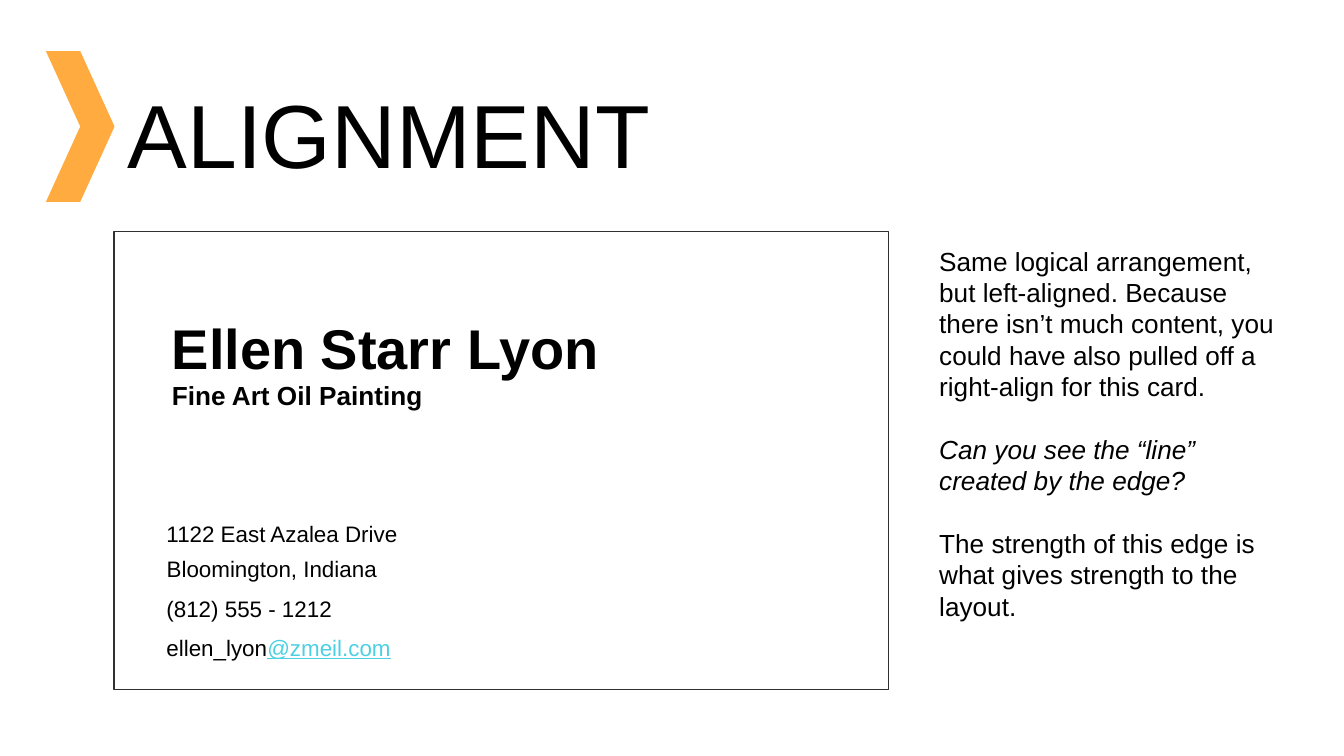
"""Build the alignment slide with its left-aligned business card."""
from pptx import Presentation
from pptx.dml.color import RGBColor
from pptx.enum.shapes import MSO_SHAPE
from pptx.enum.text import MSO_ANCHOR, MSO_AUTO_SIZE, PP_ALIGN
from pptx.oxml.ns import qn
from pptx.util import Pt

RECT, CHEVRON = MSO_SHAPE.RECTANGLE, MSO_SHAPE.CHEVRON
TOP, MIDDLE = MSO_ANCHOR.TOP, MSO_ANCHOR.MIDDLE
LEFT, FIXED = PP_ALIGN.LEFT, MSO_AUTO_SIZE.NONE

THEME = {
    "font": "Arial",
    "ink": RGBColor(0x00, 0x00, 0x00),
    "edge": RGBColor(0x30, 0x30, 0x30),
    "accent": RGBColor(0xFF, 0xAB, 0x40),
    "link": RGBColor(0x4D, 0xD0, 0xE1),
    "title": Pt(48),
    "name": Pt(30),
    "note": Pt(14),
    "small": Pt(12),
}


def place(shape, box):
    for side, value in zip(("left", "top", "width", "height"), box):
        setattr(shape, side, Pt(value))


def write(shape, box, paras, size, anchor=MIDDLE, gap=0, **form):
    place(shape, box)
    frame = shape.text_frame
    look = {"word_wrap": True, "auto_size": FIXED, "vertical_anchor": anchor}
    look.update({f"margin_{side}": Pt(7.2) for side in ("left", "top", "right", "bottom")})
    for key, value in look.items():
        setattr(frame, key, value)
    for i, runs in enumerate(paras):
        para = frame.paragraphs[0] if i == 0 else frame.add_paragraph()
        props = para._p.get_or_add_pPr()
        props.set("marL", "0")
        props.set("indent", "0")
        props.append(props.makeelement(qn("a:buNone"), {}))
        rules = {"alignment": LEFT, "space_before": Pt(gap if i else 0), "space_after": Pt(0), "line_spacing": 1.0}
        for key, value in {**rules, **form}.items():
            setattr(para, key, value)
        for text, extra in runs:
            run = para.add_run()
            run.text = text
            font = {"name": THEME["font"], "size": THEME[size], **extra}
            run.font.color.rgb = THEME[font.pop("color", "ink")]
            for key, value in font.items():
                setattr(run.font, key, value)


deck = Presentation()
deck.slide_width, deck.slide_height = Pt(720), Pt(405)
slide = deck.slides.add_slide(deck.slide_layouts[1])
shapes = slide.shapes
title, body = slide.placeholders

card = shapes.add_shape(RECT, Pt(61.2), Pt(124), Pt(414.7), Pt(245.5))
card.fill.background()
card.line.color.rgb = THEME["edge"]
card.line.width = Pt(0.75)
arrow = shapes.add_shape(CHEVRON, Pt(24.6), Pt(27.4), Pt(36.8), Pt(80.8))
arrow.fill.solid()
arrow.fill.fore_color.rgb = THEME["accent"]
arrow.line.fill.background()
for shape in (card, arrow):
    shape.shadow.inherit = False

write(title, (61.2, 35.3, 634.3, 45.4), [[("ALIGNMENT", {})]], "title", TOP)

bold = {"bold": True}
link = {"color": "link", "underline": True}
loose = {"line_spacing": 1.15, "space_after": Pt(16)}
tight = {"space_after": Pt(16)}
lines = [
    (None, (85, 154.1, 283.7, 58.3), [("Ellen Starr Lyon", bold)], "name", loose),
    (None, (85, 181.4, 199.4, 58.3), [("Fine Art Oil Painting", bold)], "note", loose),
    (None, (82.1, 277.2, 145.4, 17.3), [("1122 East Azalea Drive", {})], "small", tight),
    (body, (82.1, 294.5, 190.8, 20.2), [("Bloomington, Indiana", {})], "small", tight),
    (None, (82.1, 314.6, 137.5, 20.2), [("(812) 555 - 1212", {})], "small", loose),
    (None, (82.1, 335.5, 199.4, 20.2), [("ellen_lyon", {}), ("@zmeil.com", link)], "small", loose),
]
for shape, box, runs, size, form in lines:
    write(shape or shapes.add_textbox(0, 0, 0, 0), box, [runs], size, **form)

notes = [
    [("Same logical arrangement, but left-aligned. Because there isn’t much content, "
      "you could have also pulled off a right-align for this card.", {})],
    [("Can you see the “line” created by the edge?", {"italic": True})],
    [("The strength of this edge is what gives strength to the layout.", {})],
]
write(shapes.add_textbox(0, 0, 0, 0), (496.1, 124, 199.4, 245.5), notes, "note", TOP, gap=16.8)

deck.save("out.pptx")
